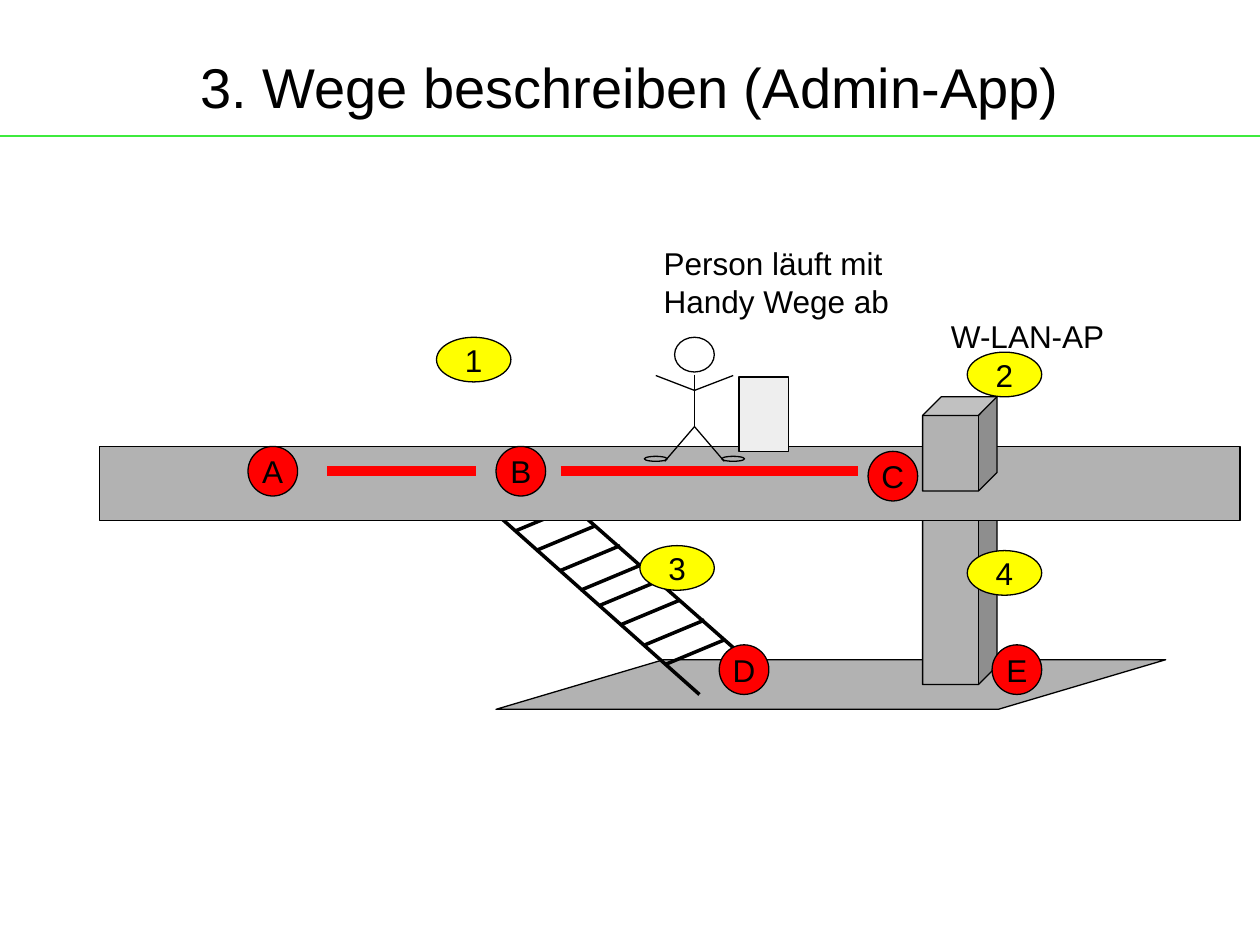
from lxml import etree
from pptx import Presentation
from pptx import util as u
from pptx.dml.color import RGBColor
from pptx.enum import shapes, text
from pptx.oxml.ns import qn

BLACK, GREY, PALE = "000000", "B2B2B2", "EEEEEE"
RED, YELLOW, GREEN = "FF0000", "FFFF00", "3DEB3D"
KIND = shapes.MSO_SHAPE


def rgb(value):
    return RGBColor.from_string(value)


def add_line(parent, x1, y1, x2, y2, color=BLACK, width=0):
    ln = parent.add_connector(shapes.MSO_CONNECTOR.STRAIGHT,
                              u.Cm(x1), u.Cm(y1), u.Cm(x2), u.Cm(y2))
    ln.line.color.rgb = rgb(color)
    ln.line.width = u.Pt(width)
    etree.SubElement(ln._element.spPr, qn("a:effectLst"))


def add_form(parent, kind, x, y, w, h, fill=None, width=0, adj=None):
    sp = parent.add_shape(kind, u.Cm(x), u.Cm(y), u.Cm(w), u.Cm(h))
    sp.shadow.inherit = False
    if fill:
        sp.fill.solid()
        sp.fill.fore_color.rgb = rgb(fill)
    else:
        sp.fill.background()
    sp.line.color.rgb = rgb(BLACK)
    sp.line.width = u.Pt(width)
    if adj is not None:
        sp.adjustments[0] = adj
    return sp


def write(sp, lines, size=18, align=text.PP_ALIGN.LEFT,
          anchor=text.MSO_ANCHOR.TOP, wrap=False):
    tf = sp.text_frame
    tf.word_wrap = wrap
    tf.vertical_anchor = anchor
    tf.text = "\n".join(lines)
    for p in tf.paragraphs:
        p.alignment = align
        p.font.size = u.Pt(size)
        p.font.name = "Arial"
        p.font.color.rgb = rgb(BLACK)


def add_label(parent, x, y, w, h, lines, **style):
    sp = parent.add_textbox(u.Cm(x), u.Cm(y), u.Cm(w), u.Cm(h))
    write(sp, lines, **style)


def add_marker(parent, label, x, y, w, h, fill):
    sp = add_form(parent, KIND.OVAL, x, y, w, h, fill)
    write(sp, [label], align=text.PP_ALIGN.CENTER,
          anchor=text.MSO_ANCHOR.MIDDLE)


def add_stairs(parent):
    add_line(parent, 9.6, 10, 14.1, 14)
    add_line(parent, 11.2, 9.9, 15.4, 13.6)
    steps = [(10.4, 10.7), (10.8, 11.1), (11.3, 11.5), (11.7, 11.9),
             (12.1, 12.2), (12.5, 12.6), (13, 13), (13.4, 13.4)]
    for x, y in steps:
        add_line(parent, x, y, x + 1.2, y - 0.5)


def add_person(parent):
    middle, hip, shoulder = 14, 8.6, 7.87
    add_form(parent, KIND.OVAL, 13.6, 6.8, 0.8, 0.7, width=0.75)
    add_line(parent, middle, 7.55, middle, hip, width=0.75)
    for side in (-1, 1):
        add_line(parent, middle, hip, middle + side * 0.6, 9.3, width=0.75)
        add_line(parent, middle, shoulder, middle + side * 0.78, 7.57,
                 width=0.75)
        add_form(parent, KIND.OVAL, middle + side * 0.78 - 0.23, 9.2,
                 0.46, 0.1, width=0.75)


def main():
    prs = Presentation()
    prs.slide_width, prs.slide_height = u.Cm(25.4), u.Cm(19.05)
    s = prs.slides.add_slide(prs.slide_layouts[6])
    main_shapes = s.shapes

    # Title and rule
    add_line(main_shapes, 0, 2.74, 25.4, 2.74, GREEN, 0.75)

    # Lower floor and pillar
    add_form(main_shapes, KIND.PARALLELOGRAM, 10, 13.3, 13.5, 1, GREY,
             adj=3.375)
    add_form(main_shapes, KIND.CUBE, 18.6, 10, 1.5, 3.8, GREY, adj=0.25)
    add_label(main_shapes, 1.27, 0.84, 22.86, 1.78,
              ["3. Wege beschreiben (Admin-App)"], size=32,
              align=text.PP_ALIGN.CENTER, anchor=text.MSO_ANCHOR.MIDDLE,
              wrap=True)

    # Stairs and upper floor
    add_stairs(main_shapes)
    add_form(main_shapes, KIND.PARALLELOGRAM, 2, 9, 23, 1.5, GREY, adj=0)

    # Numbered steps
    steps = main_shapes.add_group_shape().shapes
    for label, x, y in [("4", 19.5, 11.1), ("2", 19.5, 7.1),
                        ("1", 8.8, 6.8), ("3", 12.9, 11)]:
        add_marker(steps, label, x, y, 1.5, 0.9, YELLOW)
    add_label(steps, 18.92, 6.27, 3.6, 1.02, ["W-LAN-AP"])

    # Waypoints
    waypoints = main_shapes.add_group_shape().shapes
    for label, x, y in [("A", 5, 9), ("B", 10, 9), ("D", 14.5, 13),
                        ("C", 17.5, 9.1), ("E", 20, 13)]:
        add_marker(waypoints, label, x, y, 1, 1, RED)

    # Access point, person and phone
    add_form(main_shapes, KIND.CUBE, 18.6, 8, 1.5, 1.9, GREY, adj=0.25)
    add_person(main_shapes.add_group_shape().shapes)
    add_form(main_shapes, KIND.RECTANGLE, 14.9, 7.6, 1, 1.5, PALE)
    add_label(main_shapes, 13.13, 4.8, 5.08, 1.78,
              ["Person läuft mit", "Handy Wege ab"])

    # Recorded paths
    for start, end in [(6.6, 9.6), (11.3, 17.3)]:
        add_line(main_shapes, start, 9.5, end, 9.5, RED, 5.67)

    prs.save("out.pptx")


if __name__ == "__main__":
    main()
